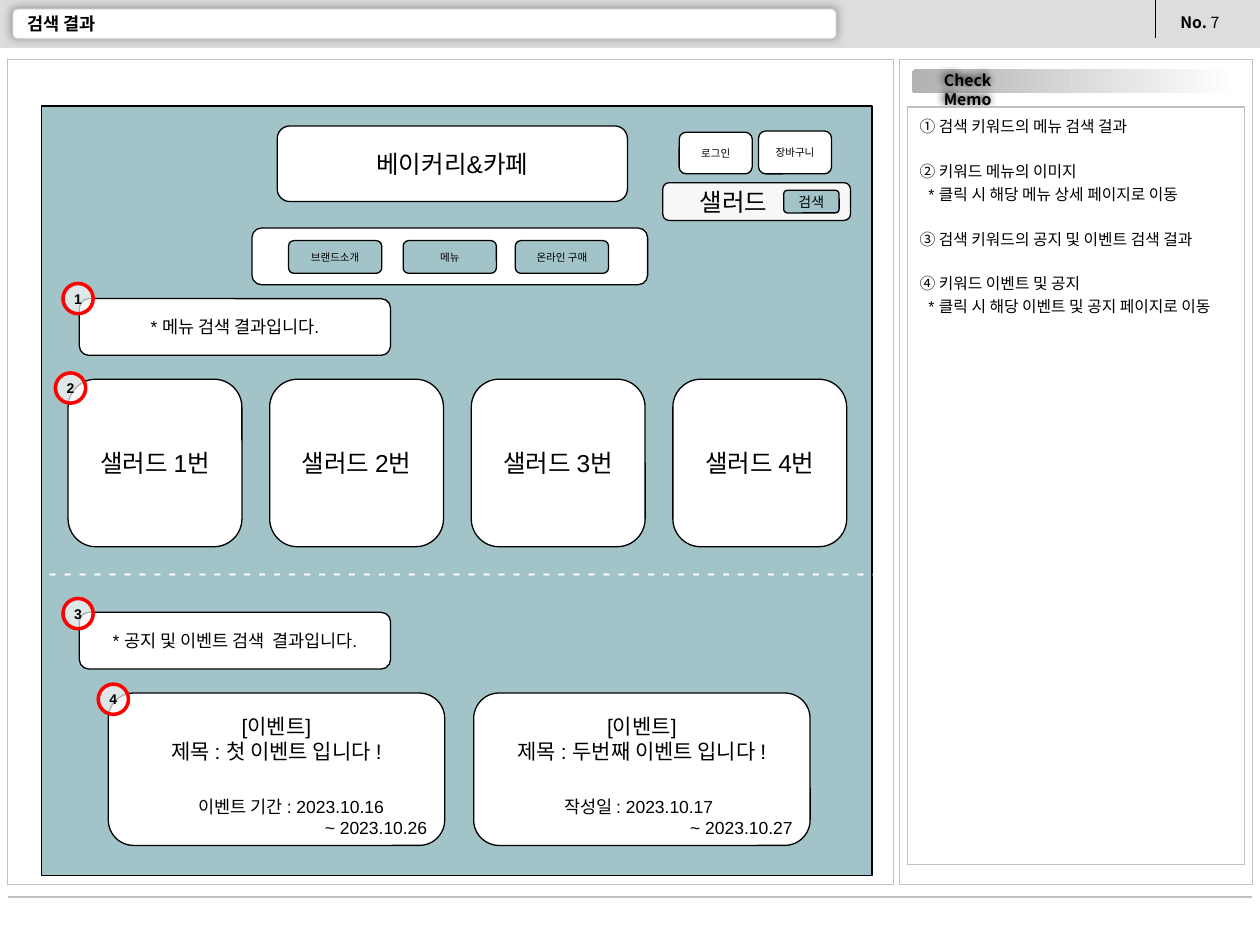
from lxml.etree import SubElement
from pptx import Presentation
from pptx.dml.color import RGBColor
from pptx.enum.shapes import MSO_CONNECTOR, MSO_SHAPE
from pptx.enum.text import MSO_ANCHOR, PP_ALIGN
from pptx.oxml.ns import qn
from pptx.util import Inches, Pt

COLORS = {
    "black": "000000", "white": "FFFFFF", "bar": "DDDDDD", "border": "C0C0C0",
    "shadow": "989898", "gradient": "B2B2B2", "panel": "A2C4C9",
    "search": "F7F7F7", "badge": "F8F8F8", "red": "FF0000",
}
KOREAN = "Noto Sans CJK KR"
LATIN = "Arial"


def rgb(name):
    return RGBColor.from_string(COLORS[name])


class Wireframe:
    def __init__(self, s):
        self.s = s

    def text(self, sp, paragraphs, size, font=LATIN, bold=False, align="LEFT",
             anchor="TOP", insets=(0.1, 0.05, 0.1, 0.05), spacing=None):
        tf = sp.text_frame
        left, top, right, bottom = (Inches(v) for v in insets)
        frame = {"word_wrap": True, "vertical_anchor": getattr(MSO_ANCHOR, anchor),
                 "margin_left": left, "margin_top": top,
                 "margin_right": right, "margin_bottom": bottom}
        for name, value in frame.items():
            setattr(tf, name, value)
        for i, (content, before, indent) in enumerate(paragraphs):
            p = tf.paragraphs[0] if i == 0 else tf.add_paragraph()
            layout = {"alignment": getattr(PP_ALIGN, align),
                      "space_before": Pt(before), "line_spacing": spacing}
            for name, value in layout.items():
                setattr(p, name, value)
            p._p.get_or_add_pPr().set("marL", str(Inches(indent)))
            runs = [(content, bold)] if isinstance(content, str) else content
            for words, weight in runs:
                r = p.add_run()
                r.text = words
                style = {"name": font, "size": Pt(size), "bold": weight}
                for name, value in style.items():
                    setattr(r.font, name, value)
                r.font.color.rgb = rgb("black")
                SubElement(r._r.get_or_add_rPr(), qn("a:ea"), typeface=KOREAN)

    def box(self, at, fill="white", line="black", width=0.75, kind="ROUNDED_RECTANGLE"):
        sp = self.s.shapes.add_shape(getattr(MSO_SHAPE, kind), *map(Inches, at))
        sp.shadow.inherit = False
        sp.fill.solid()
        sp.fill.fore_color.rgb = rgb(fill)
        if line:
            sp.line.color.rgb = rgb(line)
            sp.line.width = Pt(width)
        else:
            sp.line.fill.background()
        return sp

    def button(self, at, label, size, fill="white", align="CENTER", left=0.1):
        sp = self.box(at, fill)
        self.text(sp, [(label, 0, 0)], size, align=align, anchor="MIDDLE",
                  insets=(left, 0.1, 0.1, 0.1))

    def label(self, at, paragraphs, size, **style):
        sp = self.s.shapes.add_textbox(*map(Inches, at))
        self.text(sp, paragraphs, size, **style)
        return sp

    def shadow(self, sp, color, blur=5, dist=1.4):
        sp.shadow.inherit = False
        effects = sp._element.spPr.find(qn("a:effectLst"))
        outer = SubElement(effects, qn("a:outerShdw"), blurRad=str(Pt(blur)),
                           dist=str(Pt(dist)), dir="13500000", algn="ctr", rotWithShape="0")
        SubElement(outer, qn("a:srgbClr"), val=COLORS[color])

    def line(self, x1, y1, x2, y2, color, width):
        cn = self.s.shapes.add_connector(MSO_CONNECTOR.STRAIGHT, *map(Inches, (x1, y1, x2, y2)))
        cn.line.color.rgb = rgb(color)
        cn.line.width = Pt(width)
        SubElement(cn._element.spPr, qn("a:effectLst"))

    def gradient_bar(self, at):
        sp = self.box(at, line=None)
        sp.fill.gradient()
        sp.fill.gradient_angle = 180
        for stop, color in zip(sp.fill.gradient_stops, ("white", "gradient")):
            stop.color.rgb = rgb(color)

    def badge(self, x, y, number):
        sp = self.box((x, y, 0.24, 0.24), "badge", "red", 2, "OVAL")
        color = sp._element.spPr.find(qn("a:solidFill")).find(qn("a:srgbClr"))
        SubElement(color, qn("a:alpha"), val="70000")
        self.text(sp, [(str(number), 0, 0)], 8, bold=True, align="CENTER",
                  anchor="MIDDLE", insets=(0.04, 0.05, 0.04, 0.05))

    def divider(self, at, count):
        sp = self.label(at, [(" ".join("-" * count), 0, 0)], 14)
        sp.text_frame.paragraphs[0].runs[0].font.color.rgb = rgb("white")


def draw_frame(w):
    w.box((0, 0, 10, 0.38), "bar", None, kind="RECTANGLE")
    w.line(9.17, 0, 9.17, 0.3, "black", 0.75)
    w.label((9.27, 0.05, 0.62, 0.25), [([("No. ", True), ("7", False)], 0, 0)], 9, font=KOREAN)
    w.shadow(w.box((0.1, 0.07, 6.54, 0.24), line="border"), "shadow")
    w.line(0.06, 7.12, 9.94, 7.12, "border", 1.5)
    for left, width in ((7.14, 2.8), (0.06, 7.03)):
        w.box((left, 0.47, width, 6.55), line="border", kind="RECTANGLE")
    w.gradient_bar((7.24, 0.55, 2.57, 0.19))
    memo = w.label((7.2, 0.51, 0.96, 0.25), [("Check Memo", 0, 0)], 9,
                   font=KOREAN, bold=True, align="CENTER")
    w.shadow(memo, "black")
    w.label((0.12, 0.1, 5.42, 0.18), [("검색 결과", 0, 0)], 10, bold=True, anchor="MIDDLE")


def draw_memo(w):
    gap, indent = 12.6, 0.07
    notes = [
        ("① 검색 키워드의 메뉴 검색 걸과", 0, 0),
        ("② 키워드 메뉴의 이미지", gap, 0),
        ("* 클릭 시 해당 메뉴 상세 페이지로 이동", 0, indent),
        ("③ 검색 키워드의 공지 및 이벤트 검색 걸과", gap, 0),
        ("④ 키워드 이벤트 및 공지", gap, 0),
        ("* 클릭 시 해당 이벤트 및 공지 페이지로 이동", 0, indent),
    ]
    sp = w.box((7.2, 0.85, 2.68, 6.01), line="border", kind="RECTANGLE")
    w.text(sp, notes, 9, spacing=1.2)


def draw_header(w):
    w.box((0.33, 0.84, 6.59, 6.11), "panel", kind="RECTANGLE")
    w.button((2.2, 1, 2.78, 0.6), "베이커리&카페", 14)
    w.box((2, 1.81, 3.14, 0.45))
    w.button((5.26, 1.45, 1.49, 0.3), "샐러드", 14, "search", "LEFT", 0.28)
    w.button((6.22, 1.51, 0.44, 0.18), "검색", 8, "panel")
    for left, name in ((2.29, "브랜드소개"), (3.2, "메뉴"), (4.09, "온라인 구매")):
        w.button((left, 1.91, 0.74, 0.26), name, 6, "panel")
    w.button((6.02, 1.04, 0.58, 0.34), "장바구니", 6)
    w.button((5.39, 1.05, 0.58, 0.33), "로그인", 6)


def draw_results(w):
    w.button((0.63, 2.37, 2.47, 0.45), "* 메뉴 검색 결과입니다.", 10)
    for i in range(4):
        w.button((0.54 + 1.6 * i, 3.01, 1.38, 1.33), f"샐러드 {i + 1}번", 14)
    w.button((0.63, 4.86, 2.47, 0.45), "* 공지 및 이벤트 검색  결과입니다.", 10)
    events = [
        (0.86, "제목 : 첫 이벤트 입니다 !", "이벤트 기간 : 2023.10.16", "~ 2023.10.26"),
        (3.76, "제목 : 두번째 이벤트 입니다 !", "작성일 : 2023.10.17", "~ 2023.10.27"),
    ]
    for left, title, start, end in events:
        card = w.box((left, 5.5, 2.67, 1.21))
        w.text(card, [("[이벤트]", 0, 0), (title, 0, 0)], 12, align="CENTER", insets=(0.1,) * 4)
        w.label((left + 0.62, 6.27, 2.03, 0.44), [(start, 0, 0), (end, 0, 1)], 10,
                insets=(0.1, 0.05, 0, 0.05))
    w.divider((0.17, 4.37, 7, 0.34), 57)
    for number, (x, y) in enumerate(((0.5, 2.25), (0.44, 2.96), (0.5, 4.75), (0.78, 5.43)), 1):
        w.badge(x, y, number)


def main():
    prs = Presentation()
    prs.slide_width, prs.slide_height = Inches(10), Inches(7.5)
    w = Wireframe(prs.slides.add_slide(prs.slide_layouts[6]))
    for draw in (draw_frame, draw_memo, draw_header, draw_results):
        draw(w)
    prs.save("out.pptx")


if __name__ == "__main__":
    main()
